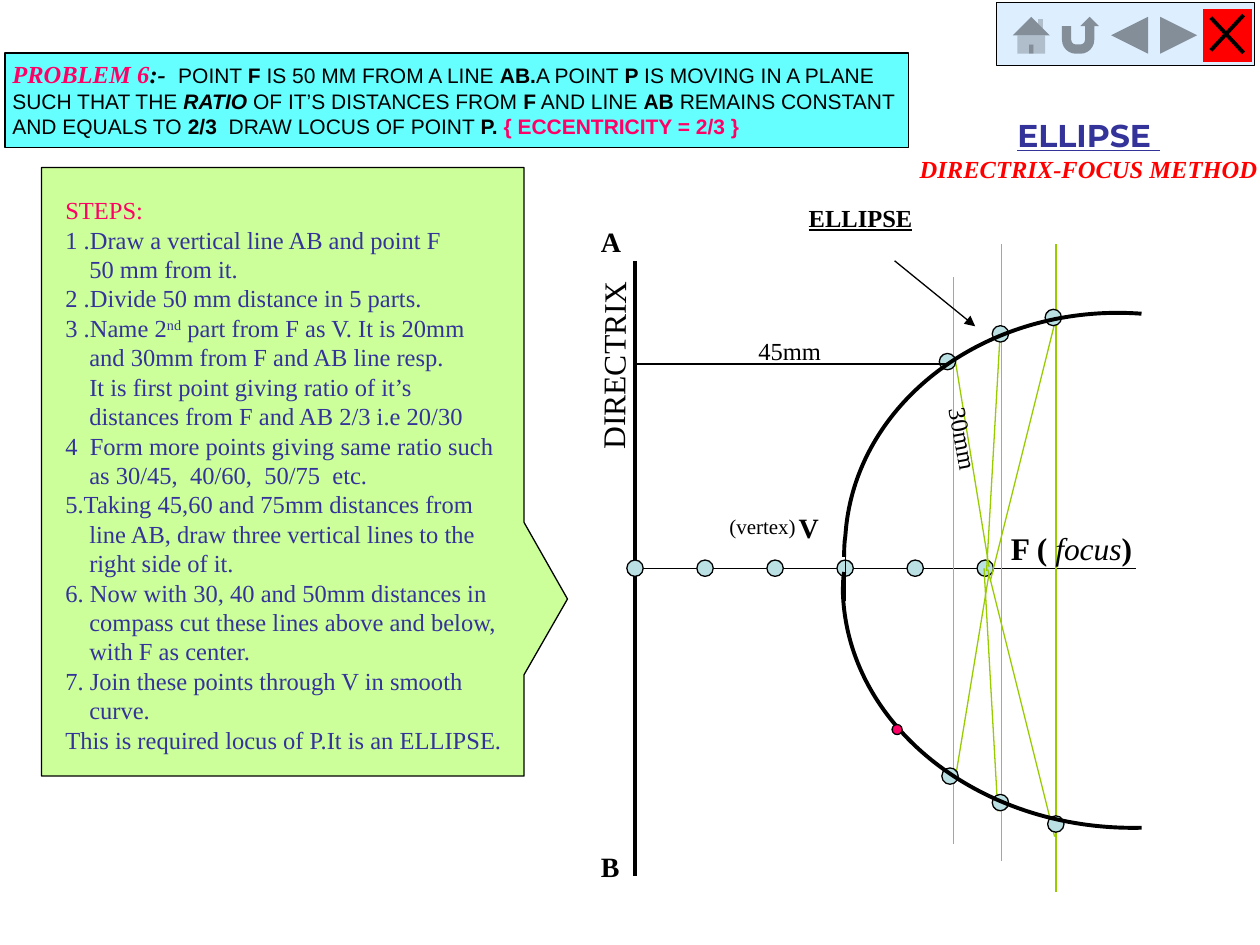
from dataclasses import dataclass
from typing import Any

from lxml import etree
from pptx import Presentation
from pptx.dml.color import RGBColor
from pptx.enum.shapes import MSO_CONNECTOR, MSO_SHAPE
from pptx.enum.text import MSO_AUTO_SIZE as AutoSize, PP_ALIGN
from pptx.oxml.ns import qn
from pptx.util import Inches, Pt

BLACK, NAVY, PINK, GREEN, MARK = "000000", "333399", "FF0066", "99CC00", "BBE0E3"
SERIF = {"name": "Times New Roman", "size": 14, "color": BLACK}
SANS = {"name": "Arial", "size": 12, "color": BLACK}
BOLD = {"bold": True}
ITALIC = {"italic": True}


def color(value):
    return RGBColor.from_string(value)


def format_run(run, values):
    for key, value in values.items():
        if key == "color":
            run.font.color.rgb = color(value)
        elif key == "baseline":
            run.font._element.set("baseline", value)
        else:
            setattr(run.font, key, Pt(value) if key == "size" else value)


@dataclass
class Region:
    shapes: Any
    left: float
    top: float

    def place(self, x, y):
        return Inches(round(self.left + x, 3)), Inches(round(self.top + y, 3))

    def shape(self, kind, box, fill, line=None, width=0.75):
        x, y, w, h = box
        shape = self.shapes.add_shape(kind, *self.place(x, y), Inches(w), Inches(h))
        shape.shadow.inherit = False
        shape.fill.solid()
        shape.fill.fore_color.rgb = color(fill)
        if line:
            shape.line.color.rgb = color(line)
            shape.line.width = Pt(width)
        else:
            shape.line.fill.background()
        return shape

    def dot(self, x, y, size=0.13, fill=MARK):
        box = (x - size / 2, y - size / 2, size, size)
        self.shape(MSO_SHAPE.OVAL, box, fill, BLACK)

    def line(self, start, end, stroke=BLACK, width=0.75, arrow=False):
        line = self.shapes.add_connector(
            MSO_CONNECTOR.STRAIGHT, *self.place(*start), *self.place(*end))
        line.line.color.rgb = color(stroke)
        line.line.width = Pt(width)
        if arrow:
            etree.SubElement(line.line._get_or_add_ln(), qn("a:tailEnd"), type="triangle")
        etree.SubElement(line._element.spPr, qn("a:effectLst"))

    def curve(self, start, *points):
        builder = self.shapes.build_freeform(*self.place(*start))
        builder.add_line_segments([self.place(*point) for point in points], close=False)
        shape = builder.convert_to_shape()
        shape.shadow.inherit = False
        shape.fill.background()
        shape.line.color.rgb = color(BLACK)
        shape.line.width = Pt(2.25)
        segments = list(shape._element.iter(qn("a:lnTo")))
        for index in range(0, len(segments), 3):
            bezier = etree.Element(qn("a:cubicBezTo"))
            segments[index].addprevious(bezier)
            for segment in segments[index:index + 3]:
                bezier.append(segment[0])
                segment.getparent().remove(segment)

    def text(self, box, paragraphs, base=SERIF, wrap=False, align=PP_ALIGN.LEFT, rotation=0):
        x, y, w, h = box
        shape = self.shapes.add_textbox(*self.place(x, y), Inches(w), Inches(h))
        shape.rotation = rotation
        frame = shape.text_frame
        frame.word_wrap = wrap
        frame.auto_size = AutoSize.SHAPE_TO_FIT_TEXT
        for index, runs in enumerate(paragraphs):
            paragraph = frame.paragraphs[0] if index == 0 else frame.add_paragraph()
            paragraph.alignment = align
            for content, values in runs:
                run = paragraph.add_run()
                run.text = content
                format_run(run, {**base, **values})
        return shape


def add_title(slide, left, top):
    heading = {"name": "Montserrat", "size": 18, "color": NAVY, "underline": True}
    Region(slide.shapes, left, top).text((0, 0, 2.88, 0.63), [
        [("ELLIPSE ", heading)],
        [("DIRECTRIX-FOCUS METHOD", {"color": "FF0000", **ITALIC})],
    ], {**SERIF, **BOLD}, align=PP_ALIGN.CENTER)


def add_problem(slide, left, top):
    region = Region(slide.shapes, left, top)
    region.shape(MSO_SHAPE.RECTANGLE, (0.04, 0, 7.17, 0.75), "66FFFF", BLACK)
    lead = {**SERIF, **BOLD, **ITALIC}
    region.text((0, 0, 7.33, 0.73), [
        [("PROBLEM 6", {**lead, "color": PINK}), (":-  ", lead), ("POINT ", {}), ("F", BOLD),
         (" IS 50 MM FROM A LINE ", {}), ("AB.", BOLD), ("A POINT", {}), (" P ", BOLD),
         ("IS MOVING IN A PLANE", {})],
        [("SUCH THAT THE ", {}), ("RATIO", {**BOLD, **ITALIC}),
         (" OF IT’S DISTANCES FROM ", {}), ("F", BOLD), (" AND LINE ", {}), ("AB ", BOLD),
         ("REMAINS CONSTANT", {})],
        [("AND EQUALS TO ", {}), ("2/3  ", BOLD), ("DRAW LOCUS OF POINT ", {}), ("P.", BOLD),
         (" { ECCENTRICITY = 2/3 }", {**BOLD, "color": PINK})],
    ], SANS)


def add_steps(slide, left, top):
    region = Region(slide.shapes, left, top)
    callout = region.shape(
        MSO_SHAPE.RECTANGULAR_CALLOUT, (0, 0, 3.83, 4.83), "CCFF99", BLACK)
    callout.adjustments[0], callout.adjustments[1] = 0.59, 0.209
    steps = [
        ("1 .Draw a vertical line AB and point F", "50 mm from it."),
        ("2 .Divide 50 mm distance in 5 parts.",),
        ("3 .Name 2^nd^ part from F as V. It is 20mm", "and 30mm from F and AB line resp.",
         "It is first point giving ratio of it’s", "distances from F and AB 2/3 i.e 20/30"),
        ("4  Form more points giving same ratio such", "as 30/45,  40/60,  50/75  etc."),
        ("5.Taking 45,60 and 75mm distances from",
         "line AB, draw three vertical lines to the", "right side of it."),
        ("6. Now with 30, 40 and 50mm distances in",
         "compass cut these lines above and below,", "with F as center."),
        ("7. Join these points through V in smooth", "curve."),
        ("This is required locus of P.It is an ELLIPSE.",),
    ]
    lines = [(line, index > 0) for step in steps for index, line in enumerate(step)]
    styles = [{}, {"baseline": "30000"}, {}]
    paragraphs = [[("STEPS:", {"color": PINK})]]
    paragraphs += [list(zip(line.split("^"), styles)) for line, _ in lines]
    box = region.text((0.09, 0.17, 3.75, 4.52), paragraphs, {**SERIF, "color": NAVY}, wrap=True)
    for paragraph, (_, indented) in zip(box.text_frame.paragraphs[1:], lines):
        if indented:
            paragraph._p.get_or_add_pPr().set("marL", str(Inches(0.19)))


def add_diagram(slide, left, top):
    region = Region(slide.shapes, left, top)
    directrix, axis, focus, parts = 0.5, 3, 3.28, 5
    region.line((directrix, 0.56), (directrix, 5.44), width=2.25)
    region.line((directrix, axis), (4.48, axis))
    for index in range(parts + 1):
        region.dot(directrix + index * (focus - directrix) / parts, axis)
    region.line((2.17, 2.75), (2.17, 3.26))

    for x, start, end in [(3.03, 0.69, 5.19), (3.41, 0.43, 5.32), (3.84, 0.43, 5.57)]:
        region.line((x, start), (x, end), GREEN)
    rays = [
        ((3.31, 2.99), (3.04, 1.34)), ((3.31, 3.04), (3.04, 4.68)),
        ((3.29, 3.02), (3.4, 1.1)), ((3.27, 3), (3.38, 4.93)),
        ((3.32, 3.1), (3.85, 0.98)), ((3.3, 3.01), (3.83, 5.13)),
    ]
    for start, end in rays:
        region.line(start, end, GREEN)
    for point in [(2.98, 1.36), (3.4, 1.14), (3.82, 1.01),
                  (3, 4.65), (3.4, 4.86), (3.84, 5.03)]:
        region.dot(*point)
    region.curve((4.52, 0.98), (3.3, 0.89), (2.24, 1.68), (2.17, 2.74),
                 (2.16, 2.8), (2.16, 2.86), (2.16, 2.91))
    region.curve((4.52, 5.06), (3.25, 5.09), (2.19, 4.26), (2.15, 3.2),
                 (2.15, 3.14), (2.15, 3.08), (2.16, 3.03))
    region.dot(2.58, 4.28, 0.08, PINK)
    region.line((2.56, 0.56), (3.2, 1.08), arrow=True)
    region.line((3, 1.38), (directrix, 1.38))

    letter = {"size": 16, **BOLD}
    labels = [
        ("DIRECTRIX", (-0.44, 1.19, 1.53, 0.4), {"size": 18}, 270.3),
        ("V", (1.7, 2.49, 0.36, 0.37), letter, 0),
        ("(vertex)", (1.15, 2.52, 0.73, 0.3), {"size": 12}, 0),
        ("A", (0.13, 0.22, 0.36, 0.37), letter, 0),
        ("B", (0.13, 5.18, 0.35, 0.37), letter, 0),
        ("30mm", (2.76, 1.81, 0.7, 0.33), {}, 79.5),
        ("45mm", (1.38, 1.11, 0.7, 0.33), {}, 0),
    ]
    for content, box, values, rotation in labels:
        region.text(box, [[(content, values)]], rotation=rotation)
    region.text((1.78, 0.05, 2.44, 0.33), [[("ELLIPSE", {**BOLD, "underline": True})]], wrap=True)
    region.text((3.38, 2.64, 1.17, 0.4), [[("F ( ", BOLD), ("focus", ITALIC), (")", BOLD)]],
                {**SERIF, "size": 18}, align=PP_ALIGN.CENTER)


def add_navigation(slide, left, top):
    region = Region(slide.shapes, left, top)
    region.shape(MSO_SHAPE.ACTION_BUTTON_CUSTOM, (0, 0, 2.05, 0.5), "DDEEFF", BLACK, 0.5)
    buttons = ["HOME", "RETURN", "BACK_OR_PREVIOUS", "FORWARD_OR_NEXT", "CUSTOM"]
    for index, name in enumerate(buttons):
        fill = "FF0000" if name == "CUSTOM" else "DDEEFF"
        box = (0.08 + 0.39 * index, 0.05, 0.39, 0.42)
        region.shape(getattr(MSO_SHAPE, f"ACTION_BUTTON_{name}"), box, fill)
    region.line((1.7, 0.12), (1.96, 0.4), width=2.25)
    region.line((1.96, 0.1), (1.7, 0.38), width=2.25)


def main():
    presentation = Presentation()
    presentation.slide_width, presentation.slide_height = Inches(10), Inches(7.5)
    slide = presentation.slides.add_slide(presentation.slide_layouts[6])
    add_title(slide, 7.2, 0.87)
    add_problem(slide, 0, 0.42)
    add_diagram(slide, 4.54, 1.51)
    add_steps(slide, 0.33, 1.33)
    add_navigation(slide, 7.91, 0.02)
    presentation.save("out.pptx")


if __name__ == "__main__":
    main()
